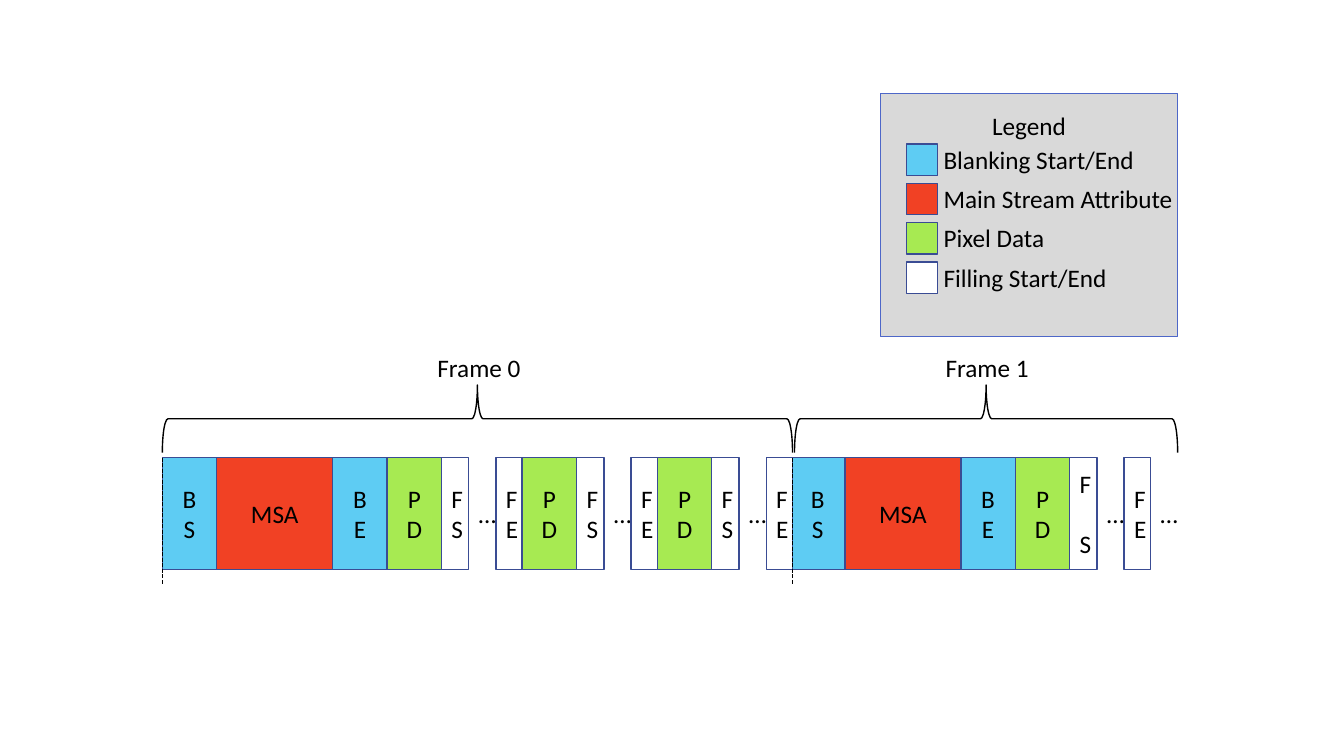
from lxml.etree import SubElement
from pptx import Presentation
from pptx.dml.color import RGBColor
from pptx.enum.dml import MSO_LINE
from pptx.enum.shapes import MSO_CONNECTOR, MSO_SHAPE
from pptx.enum.text import MSO_ANCHOR, PP_ALIGN
from pptx.oxml.ns import qn
from pptx.util import Pt

PX = 9144
COLOURS = {
    "blanking": "5ECCF3",
    "attribute": "F14124",
    "pixel": "A7EA52",
    "filling": "FFFFFF",
    "outline": "3A4C94",
    "panel": "D9D9D9",
    "panel_edge": "4E67C8",
    "ink": "000000",
}
SYMBOLS = {
    "BS": ("B\nS", 54, "blanking"),
    "MSA": ("MSA", 115, "attribute"),
    "BE": ("B\nE", 54, "blanking"),
    "PD": ("P\nD", 54, "pixel"),
    "FS": ("FS", 27, "filling"),
    "F S": ("F\vS", 27, "filling"),
    "FE": ("FE", 26, "filling"),
    "…": ("…", 27, None),
}
FRAME_0 = ["BS", "MSA", "BE"] + ["PD", "FS", "…", "FE"] * 3
FRAME_1 = ["BS", "MSA", "BE", "PD", "F S", "…", "FE", "…"]
LEGEND = [
    ("blanking", "Blanking Start/End"),
    ("attribute", "Main Stream Attribute"),
    ("pixel", "Pixel Data"),
    ("filling", "Filling Start/End"),
]
STREAM_TOP, STREAM_HEIGHT = 454, 111


class FrameDiagram:
    """Draws stream diagram elements on one slide in a shared style."""

    def __init__(self, slide, font="Calibri", size=18):
        self.shapes = slide.shapes
        self.font = font
        self.size = Pt(size)

    def colour(self, name):
        return RGBColor.from_string(COLOURS[name])

    def set_words(self, frame, words, align, anchor):
        frame.text = words
        frame.vertical_anchor = anchor
        for paragraph in frame.paragraphs:
            paragraph.alignment = align
            for run in paragraph.runs:
                run.font.name = self.font
                run.font.size = self.size
                run.font.color.rgb = self.colour("ink")

    def box(self, left, top, width, height, fill, words="", edge="outline",
            anchor=MSO_ANCHOR.MIDDLE):
        block = self.shapes.add_shape(
            MSO_SHAPE.RECTANGLE, left * PX, top * PX, width * PX, height * PX)
        block.shadow.inherit = False
        block.fill.solid()
        block.fill.fore_color.rgb = self.colour(fill)
        block.line.color.rgb = self.colour(edge)
        block.line.width = Pt(1)
        if words:
            self.set_words(block.text_frame, words, PP_ALIGN.CENTER, anchor)
        return block

    def label(self, left, top, width, height, words, align=PP_ALIGN.LEFT,
              anchor=MSO_ANCHOR.TOP, wrap=True):
        caption = self.shapes.add_textbox(
            left * PX, top * PX, width * PX, height * PX)
        caption.text_frame.word_wrap = wrap
        self.set_words(caption.text_frame, words, align, anchor)

    def brace(self, left, top, span, depth):
        shift = (span - depth) * PX // 2
        bracket = self.shapes.add_shape(
            MSO_SHAPE.LEFT_BRACE, left * PX + shift, top * PX - shift,
            depth * PX, span * PX)
        bracket.rotation = 90
        bracket.shadow.inherit = False
        bracket.fill.background()
        bracket.line.color.rgb = self.colour("ink")
        bracket.line.width = Pt(1)

    def boundary(self, left, top, height):
        marker = self.shapes.add_connector(
            MSO_CONNECTOR.STRAIGHT, left * PX, top * PX, left * PX,
            (top + height) * PX)
        marker.line.color.rgb = self.colour("ink")
        marker.line.width = Pt(1)
        marker.line.dash_style = MSO_LINE.SQUARE_DOT
        SubElement(marker._element.spPr, qn("a:effectLst"))

    def stream(self, left, symbols):
        for symbol in symbols:
            words, width, fill = SYMBOLS[symbol]
            place = (left, STREAM_TOP, width, STREAM_HEIGHT)
            if fill:
                self.box(*place, fill, words)
            else:
                self.label(*place, words, PP_ALIGN.CENTER, MSO_ANCHOR.MIDDLE)
            left += width

    def legend(self, left, top, width, height):
        panel = self.box(left, top, width, height, "panel", "Legend",
                         "panel_edge", MSO_ANCHOR.TOP)
        panel.text_frame.margin_top = 16 * PX
        for row, (fill, meaning) in enumerate(LEGEND):
            row_top = top + 50 + row * 39
            self.box(left + 26, row_top, 31, 31, fill)
            self.label(left + 53, row_top - 5, 250, 40, meaning, wrap=False)


def main():
    deck = Presentation()
    deck.slide_width, deck.slide_height = 1333 * PX, 750 * PX
    diagram = FrameDiagram(deck.slides.add_slide(deck.slide_layouts[6]))

    diagram.stream(784, FRAME_1)
    diagram.stream(161, FRAME_0)
    for title, title_left, brace_left, span in (
            ("Frame 0", 424, 161, 625), ("Frame 1", 928, 788, 380)):
        diagram.brace(brace_left, 382, span, 67)
        diagram.label(title_left, 345, 120, 40, title)
    for edge in (161, 786):
        diagram.boundary(edge, STREAM_TOP, 125)
    diagram.legend(873, 93, 295, 241)
    deck.save("out.pptx")


if __name__ == "__main__":
    main()
